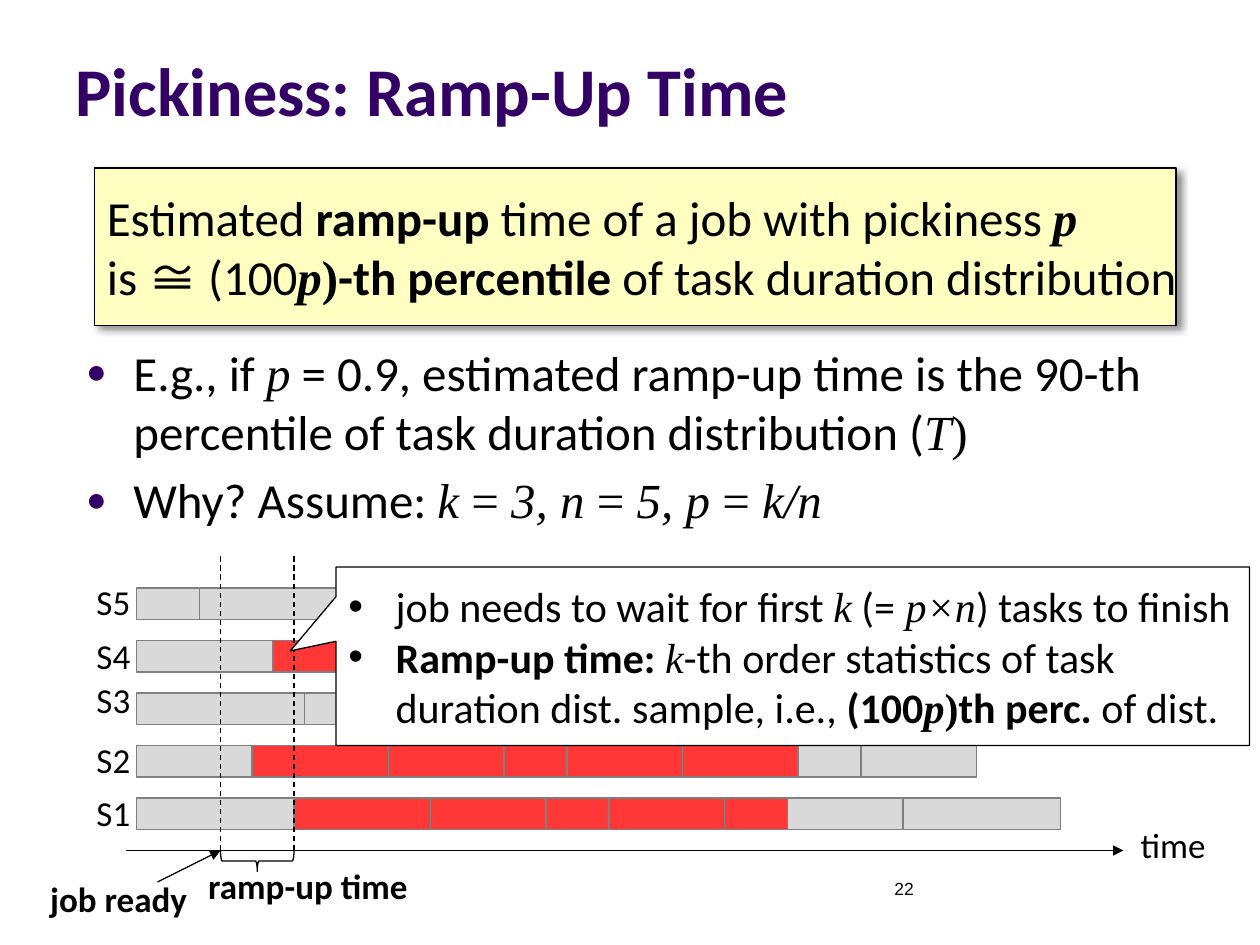
from lxml import etree
from pptx import Presentation
from pptx.dml.color import RGBColor
from pptx.enum.dml import MSO_LINE
from pptx.enum.shapes import MSO_CONNECTOR, MSO_SHAPE
from pptx.enum.text import MSO_ANCHOR, MSO_AUTO_SIZE, PP_ALIGN
from pptx.oxml.ns import qn
from pptx.util import Pt

RECTANGLE = MSO_SHAPE.RECTANGLE
CALLOUT = MSO_SHAPE.RECTANGULAR_CALLOUT
BRACE = MSO_SHAPE.RIGHT_BRACE
STRAIGHT = MSO_CONNECTOR.STRAIGHT
DASH = MSO_LINE.DASH
LEFT, RIGHT = PP_ALIGN.LEFT, PP_ALIGN.RIGHT
MIDDLE, BOTTOM = MSO_ANCHOR.MIDDLE, MSO_ANCHOR.BOTTOM
NO_FIT = MSO_AUTO_SIZE.NONE

PX = 914400 // 120
UNIT = 10
COLORS = {
    "title": "330066", "text": "000000", "note": "FFFFC2", "white": "FFFFFF",
    "idle": "D9D9D9", "idle_edge": "808080", "job": "FF3737", "job_edge": "7F7F7F",
}
BOLD = {"bold": True}
MATH = {"font": "Times New Roman", "italic": True}
MATH_UPRIGHT = {"font": "Times New Roman"}
MATH_BOLD = {**MATH, **BOLD}
UPRIGHT_BOLD = {**MATH_UPRIGHT, **BOLD}


def write(para, text, font="Calibri", size=20, color="text", bold=False, italic=False):
    span = para.add_run()
    span.text = text
    span.font.name = font
    span.font.size = Pt(size)
    span.font.bold = bold
    span.font.italic = italic
    span.font.color.rgb = RGBColor.from_string(COLORS[color])


def add_box(shapes, kind, left, top, width, height, fill=None, edge="text"):
    box = shapes.add_shape(kind, left * PX, top * PX, width * PX, height * PX)
    box.shadow.inherit = False
    if fill:
        box.fill.solid()
        box.fill.fore_color.rgb = RGBColor.from_string(COLORS[fill])
    else:
        box.fill.background()
    box.line.color.rgb = RGBColor.from_string(COLORS[edge])
    box.line.width = Pt(0.75)
    return box


deck = Presentation()
deck.slide_width, deck.slide_height = 1200 * PX, 900 * PX
page = deck.slides.add_slide(deck.slide_layouts[1])

title = page.shapes.title
title.left, title.top, title.width, title.height = 60 * PX, -24 * PX, 1080 * PX, 154 * PX
title.text_frame.vertical_anchor = BOTTOM
title.text_frame.auto_size = NO_FIT
title_para = title.text_frame.paragraphs[0]
title_para.alignment = LEFT
write(title_para, "Pickiness: Ramp-Up Time", size=39, color="title", bold=True)

note = add_box(page.shapes, RECTANGLE, 90, 160, 1030, 150, "note")
effects = note._element.spPr.find(qn("a:effectLst"))
shadow = etree.SubElement(effects, qn("a:outerShdw"), blurRad="50800", dist="38100",
                          dir="2700000", algn="tl", rotWithShape="0")
shade = etree.SubElement(shadow, qn("a:srgbClr"), val=COLORS["text"])
etree.SubElement(shade, qn("a:alpha"), val="43000")

body = page.placeholders[1]
body.left, body.top, body.width, body.height = 70 * PX, 320 * PX, 1040 * PX, 200 * PX
body.text_frame.auto_size = NO_FIT

timeline = page.shapes.add_group_shape().shapes
servers = [
    ("S5", 560, 547, [("idle", [6, 15, 11, 17, 11, 11, 11])]),
    ("S4", 610, 598, [("idle", [13]), ("job", [6, 11, 6, 11, 6, 11]), ("idle", [15])]),
    ("S3", 660, 640, [("idle", [16, 5, 11, 17, 17, 11])]),
    ("S2", 710, 697, [("idle", [11]), ("job", [13, 11, 6, 11, 11]), ("idle", [6, 11])]),
    ("S1", 760, 748, [("idle", [15]), ("job", [13, 11, 6, 11, 6]), ("idle", [11, 15])]),
]
labels = [
    ("time", 1069, 778, 91, True, False),
    ("job ready", 0, 830, 190, True, True),
    ("ramp-up time", 160, 817, 240, True, True),
]
for name, top, label_top, stretches in servers:
    labels.append((name, 80, label_top, 56, False, False))
    left = 130
    for state, durations in stretches:
        for duration in durations:
            add_box(timeline, RECTANGLE, left, top, duration * UNIT, 30, state, state + "_edge")
            left += duration * UNIT

for text, left, top, width, wrap, bold in labels:
    label = timeline.add_textbox(left * PX, top * PX, width * PX, 53 * PX)
    label.text_frame.word_wrap = wrap
    label_para = label.text_frame.paragraphs[0]
    label_para.alignment = RIGHT
    write(label_para, text, bold=bold)

for start_x, start_y, end_x, end_y, dashed in [
    (120, 810, 1070, 810, False),
    (150, 840, 210, 810, False),
    (210, 810, 210, 530, True),
    (280, 810, 280, 530, True),
]:
    line = timeline.add_connector(STRAIGHT, start_x * PX, start_y * PX, end_x * PX, end_y * PX)
    line.line.color.rgb = RGBColor.from_string(COLORS["text"])
    line.line.width = Pt(0.75)
    properties = line._element.spPr
    if dashed:
        line.line.dash_style = DASH
    else:
        etree.SubElement(properties.find(qn("a:ln")), qn("a:tailEnd"), type="triangle")
    etree.SubElement(properties, qn("a:effectLst"))

brace = add_box(timeline, BRACE, 235, 785, 20, 70)
brace.rotation = 90
brace.adjustments[0] = 0.08

callout = add_box(page.shapes, CALLOUT, 320, 540, 870, 170, "white")
callout.adjustments[0] = -0.55
callout.adjustments[1] = -0.03

for box in (note, callout):
    box.text_frame.word_wrap = False
    box.text_frame.vertical_anchor = MIDDLE

texts = [
    (note, 28, [
        (None, [("Estimated ", {}), ("ramp-up", BOLD),
                (" time of a job with pickiness ", {}), ("p", MATH_BOLD)]),
        (None, [("is ", {}), ("≅", {"font": "Noto Sans CJK JP"}), (" (100", {}),
                ("p", MATH_BOLD), (")", UPRIGHT_BOLD), ("-th percentile ", BOLD),
                ("of task duration distribution", {})]),
    ]),
    (body, 28, [
        ("●", [("E.g., if ", {}), ("p", MATH),
               (" = 0.9, estimated ramp-up time is the 90-th percentile of task "
                "duration distribution (", {}), ("T", MATH), (")", MATH_UPRIGHT)]),
        ("●", [("Why? Assume: ", {}), ("k", MATH), (" = ", MATH_UPRIGHT), ("3, n", MATH),
               (" = ", MATH_UPRIGHT), ("5, p", MATH), (" = ", MATH_UPRIGHT), ("k/n", MATH)]),
    ]),
    (callout, 24, [
        ("•", [("job needs to wait for first ", {}), ("k", MATH), (" (=", {}),
               (" p×n", MATH), (") tasks to finish", {})]),
        ("•", [("Ramp-up time: ", BOLD), ("k", MATH), ("-th order statistics of task", {})]),
        ("", [("duration dist. sample, i.e., ", {}), ("(100", BOLD), ("p", MATH_BOLD),
              (")", UPRIGHT_BOLD), ("th perc. ", BOLD), ("of dist.", {})]),
    ]),
]
for box, size, lines in texts:
    for index, (bullet, spans) in enumerate(lines):
        frame = box.text_frame
        para = frame.add_paragraph() if index else frame.paragraphs[0]
        para.alignment = LEFT
        for text, style in spans:
            write(para, text, size=size, **style)
        if bullet is None:
            continue
        settings = para._p.get_or_add_pPr()
        settings.set("marL", str(45 * PX))
        settings.set("indent", str(-45 * PX if bullet else 0))
        if bullet == "●":
            tint = etree.SubElement(settings, qn("a:buClr"))
            etree.SubElement(tint, qn("a:srgbClr"), val=COLORS["title"])
            etree.SubElement(settings, qn("a:buSzPct"), val="70000")
        if bullet:
            etree.SubElement(settings, qn("a:buFont"), typeface="Arial")
            etree.SubElement(settings, qn("a:buChar"), char=bullet)

number = page.shapes.add_textbox(840 * PX, 830 * PX, 280 * PX, 60 * PX)
number.text_frame.word_wrap = True
write(number.text_frame.paragraphs[0], "22", font="Arial", size=10)

deck.save("out.pptx")
